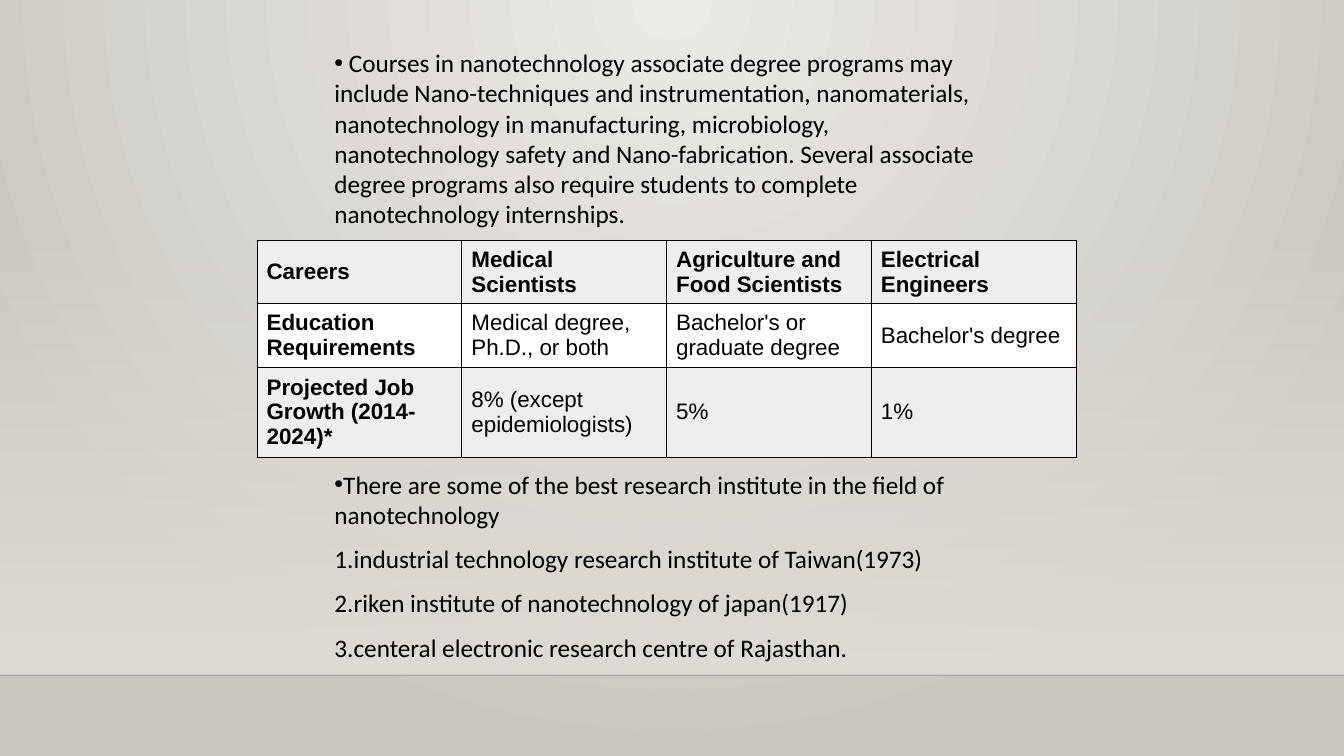
from lxml import etree
from pptx import Presentation
from pptx.dml.color import RGBColor
from pptx.enum.shapes import MSO_CONNECTOR, MSO_SHAPE
from pptx.enum.text import MSO_ANCHOR
from pptx.oxml import parse_xml
from pptx.oxml.ns import nsdecls, qn
from pptx.util import Cm, Pt

BLACK = RGBColor(0x00, 0x00, 0x00)
WHITE = RGBColor(0xFF, 0xFF, 0xFF)
LIGHT_GRAY = RGBColor(0xEE, 0xEE, 0xEE)
BACKGROUND_CENTER = RGBColor(0xEC, 0xEA, 0xE7)
BACKGROUND_EDGE = RGBColor(0xCA, 0xC7, 0xC1)
BAND = RGBColor(0xDF, 0xDB, 0xD5)

SLIDE_WIDTH = Cm(33.87)
FLOOR_TOP = Cm(17.02)
TEXT_LEFT, TEXT_WIDTH = Cm(8.18), Cm(17.22)

COURSES = (
    " Courses in nanotechnology associate degree programs may include "
    "Nano-techniques and instrumentation, nanomaterials, nanotechnology in "
    "manufacturing, microbiology, nanotechnology safety and Nano-fabrication. "
    "Several associate degree programs also require students to complete "
    "nanotechnology internships."
)
INSTITUTES = [
    "There are some of the best research institute in the field of nanotechnology",
    "1.industrial technology research institute of Taiwan(1973)",
    "2.riken institute of nanotechnology of japan(1917)",
    "3.centeral electronic research centre of Rajasthan.",
]
CAREERS = [
    ["Careers", "Medical Scientists", "Agriculture and Food Scientists",
     "Electrical Engineers"],
    ["Education Requirements", "Medical degree, Ph.D., or both",
     "Bachelor's or graduate degree", "Bachelor's degree"],
    ["Projected Job Growth (2014-2024)*", "8% (except epidemiologists)",
     "5%", "1%"],
]
COLUMN_WIDTH = Cm(5.16)
ROW_HEIGHTS = [Cm(1.6), Cm(1.6), Cm(2.26)]


def write_text(paragraph, text, font="Calibri", size=18, bold=False,
               bullet=False, space_before=0):
    paragraph.space_before = Pt(space_before)
    run = paragraph.add_run()
    run.text = text
    run.font.name = font
    run.font.size = Pt(size)
    run.font.bold = bold
    run.font.color.rgb = BLACK
    if bullet:
        properties = paragraph._p.get_or_add_pPr()
        properties.set("marL", "0")
        properties.set("indent", "0")
        etree.SubElement(properties, qn("a:buFont"), typeface="Arial")
        etree.SubElement(properties, qn("a:buChar"), char="•")


def set_gradient(fill, *colors):
    fill.gradient()
    for stop, color, position in zip(fill.gradient_stops, colors, (0, 1)):
        stop.color.rgb = color
        stop.position = position


presentation = Presentation()
presentation.slide_width = SLIDE_WIDTH
presentation.slide_height = Cm(19.05)
slide = presentation.slides.add_slide(presentation.slide_layouts[6])

# Background: radial glow from the top centre
set_gradient(slide.background.fill, BACKGROUND_CENTER, BACKGROUND_EDGE)
linear = next(slide.element.iter(qn("a:lin")))
linear.getparent().replace(linear, parse_xml(
    f'<a:path {nsdecls("a")} path="circle">'
    '<a:fillToRect l="43000" t="0" r="43000" b="100000"/></a:path>'))

# Wall band that fades in downwards, and the floor line
band_top = Cm(5.61)
band = slide.shapes.add_shape(MSO_SHAPE.RECTANGLE, 0, band_top,
                              SLIDE_WIDTH, FLOOR_TOP - band_top)
band.shadow.inherit = False
band.line.fill.background()
set_gradient(band.fill, BAND, BAND)
band.fill.gradient_angle = 270
first_color = next(band.element.spPr.iter(qn("a:srgbClr")))
etree.SubElement(first_color, qn("a:alpha"), val="0")

floor_line = slide.shapes.add_connector(MSO_CONNECTOR.STRAIGHT, 0, FLOOR_TOP,
                                        SLIDE_WIDTH, FLOOR_TOP)
floor_line.line.width = Pt(1)
floor_line.line.color.rgb = BLACK
line_properties = floor_line._element.spPr
line_color = next(line_properties.iter(qn("a:srgbClr")))
etree.SubElement(line_color, qn("a:alpha"), val="20000")
etree.SubElement(line_properties, qn("a:effectLst"))

# Text above and below the table
for top, height, texts in [(Cm(1.07), Cm(4.9), [COURSES]),
                           (Cm(11.69), Cm(5.2), INSTITUTES)]:
    frame = slide.shapes.add_textbox(TEXT_LEFT, top, TEXT_WIDTH, height).text_frame
    frame.word_wrap = True
    for index, text in enumerate(texts):
        paragraph = frame.add_paragraph() if index else frame.paragraphs[0]
        write_text(paragraph, text, bullet=index == 0,
                   space_before=10 if index else 0)

# Careers table
table = slide.shapes.add_table(
    len(CAREERS), len(CAREERS[0]), Cm(6.48), Cm(6.05),
    COLUMN_WIDTH * len(CAREERS[0]), sum(ROW_HEIGHTS)).table
for column in table.columns:
    column.width = COLUMN_WIDTH
for row_index, (row, height) in enumerate(zip(CAREERS, ROW_HEIGHTS)):
    table.rows[row_index].height = height
    for column_index, text in enumerate(row):
        cell = table.cell(row_index, column_index)
        cell.vertical_anchor = MSO_ANCHOR.MIDDLE
        cell.margin_left = cell.margin_right = Cm(0.24)
        cell.margin_top = cell.margin_bottom = Cm(0.12)
        write_text(cell.text_frame.paragraphs[0], text, font="Arial", size=16,
                   bold=row_index == 0 or column_index == 0)
        cell_properties = cell._tc.get_or_add_tcPr()
        for side in ("lnL", "lnR", "lnT", "lnB"):
            cell_properties.append(parse_xml(
                f'<a:{side} {nsdecls("a")} w="{Pt(0.75)}"><a:solidFill>'
                f'<a:srgbClr val="{BLACK}"/></a:solidFill></a:{side}>'))
        cell.fill.solid()
        cell.fill.fore_color.rgb = WHITE if row_index == 1 else LIGHT_GRAY

presentation.save("out.pptx")
